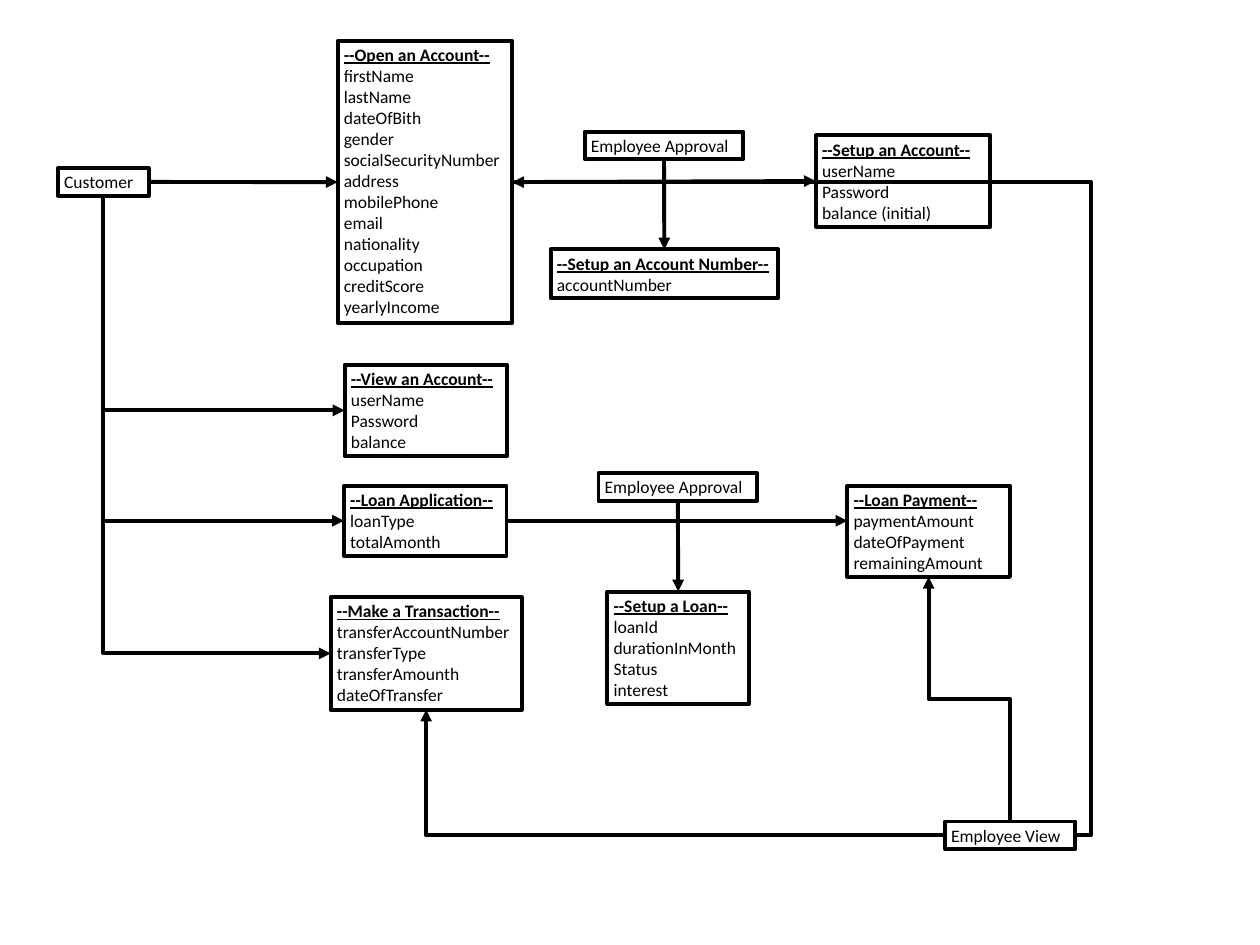
"""Draw the data flow between a bank's customers, accounts, loans and staff."""
from typing import NamedTuple

from lxml.etree import SubElement
from pptx import Presentation
from pptx.dml.color import RGBColor as Rgb
from pptx.enum.shapes import MSO_CONNECTOR as Kind
from pptx.enum.text import MSO_AUTO_SIZE as Fit
from pptx.oxml.ns import qn
from pptx.util import Inches, Pt

COLORS = {"ink": "000000"}
COLS, ROWS = 200, 150
CELL = Inches(0.1)
PAD, LINE = 1, 3.37
TOP, LEFT, BASE, RIGHT = range(4)


class Box(NamedTuple):
    key: str
    col: float
    row: float
    wide: float
    title: str
    fields: str = ""


class Link(NamedTuple):
    start: str
    exit: int
    end: str
    entry: int
    form: str = "line"
    tip: str = "tailEnd"
    shift: int = 50000


BOXES = [
    Box("client", 9.2, 26.7, 14.4, "Customer"),
    Box("open", 53.6, 6.5, 27.7, "Open an Account",
        "firstName,lastName,dateOfBith,gender,socialSecurityNumber,address,"
        "mobilePhone,email,nationality,occupation,creditScore,yearlyIncome"),
    Box("view", 54.7, 57.9, 25.8, "View an Account",
        "userName,Password,balance"),
    Box("check", 92.8, 20.9, 25.2, "Employee Approval"),
    Box("setup", 129.5, 21.5, 27.7, "Setup an Account",
        "userName,Password,balance (initial)"),
    Box("number", 87.4, 39.6, 36.1, "Setup an Account Number",
        "accountNumber"),
    Box("apply", 54.6, 77.1, 25.8, "Loan Application",
        "loanType,totalAmonth"),
    Box("review", 95, 75.1, 25.2, "Employee Approval"),
    Box("loan", 96.4, 93.9, 22.5, "Setup a Loan",
        "loanId,durationInMonth,Status,interest"),
    Box("pay", 134.5, 77.1, 25.8, "Loan Payment",
        "paymentAmount,dateOfPayment,remainingAmount"),
    Box("move", 52.5, 94.8, 30.3, "Make a Transaction",
        "transferAccountNumber,transferType,transferAmounth,dateOfTransfer"),
    Box("staff", 150, 130.4, 20.7, "Employee View"),
]

LINKS = [
    Link("client", RIGHT, "open", LEFT),
    Link("open", RIGHT, "setup", LEFT),
    Link("check", BASE, "number", TOP),
    Link("apply", RIGHT, "pay", LEFT, "level"),
    Link("review", BASE, "loan", TOP),
    *(Link(key, LEFT, "client", BASE, "corner", "headEnd")
      for key in ("view", "apply", "move")),
    Link("staff", TOP, "pay", BASE, "rise"),
    Link("staff", LEFT, "move", BASE, "corner"),
    Link("staff", RIGHT, "open", RIGHT, "loop", shift=-2800),
]


def cells(count: float) -> int:
    """Turn a count of grid cells into a length."""
    return round(count * CELL)


def ink(line) -> None:
    """Give an outline the common colour and weight."""
    line.color.rgb = Rgb.from_string(COLORS["ink"])
    line.width = Pt(4.5)


def draw_box(shapes, box: Box):
    """Draw a framed list whose height follows its number of lines."""
    names = box.fields.split(",") if box.fields else []
    title = f"--{box.title}--" if names else box.title
    high = PAD + LINE * (1 + len(names))
    frame = shapes.add_textbox(*map(cells, (box.col, box.row, box.wide, high)))
    ink(frame.line)
    text = frame.text_frame
    text.word_wrap = True
    text.auto_size = Fit.SHAPE_TO_FIT_TEXT
    text.text = "\n".join([title, *names])
    for rank, para in enumerate(text.paragraphs):
        font = para.runs[0].font
        font.name, font.size = "Calibri", Pt(20)
        font.color.rgb = Rgb.from_string(COLORS["ink"])
        font.bold = font.underline = bool(names) and rank == 0
    return frame


def turn(wire) -> None:
    """Turn a wire a quarter back so that it leaves and arrives upright."""
    mid_x = (wire.begin_x + wire.end_x) // 2
    mid_y = (wire.begin_y + wire.end_y) // 2
    off_x, off_y = wire.begin_x - mid_x, wire.begin_y - mid_y
    wire.begin_x, wire.begin_y = mid_x - off_y, mid_y + off_x
    wire.end_x, wire.end_y = mid_x + off_y, mid_y - off_x
    wire._element.spPr.find(qn("a:xfrm")).set("rot", str(270 * 60000))


def draw_link(shapes, frames: dict, link: Link) -> None:
    """Join two boxes with an arrow of the form the link asks for."""
    straight = link.form in ("line", "level")
    kind = Kind.STRAIGHT if straight else Kind.ELBOW
    wire = shapes.add_connector(kind, 0, 0, 0, 0)
    wire.begin_connect(frames[link.start], link.exit)
    if link.form == "level":
        wire.end_x, wire.end_y = frames[link.end].left, wire.begin_y
    else:
        wire.end_connect(frames[link.end], link.entry)
    ink(wire.line)
    props = wire._element.spPr
    geom = props.find(qn("a:prstGeom"))
    if link.form == "corner":
        geom.set("prst", "bentConnector2")
    elif link.form == "rise":
        turn(wire)
    elif link.form == "loop":
        SubElement(geom.find(qn("a:avLst")), qn("a:gd"),
                   name="adj1", fmla=f"val {link.shift}")
    SubElement(props.find(qn("a:ln")), qn(f"a:{link.tip}"), type="triangle")
    SubElement(props, qn("a:effectLst"))


def main() -> None:
    """Build the slide and save it."""
    deck = Presentation()
    deck.slide_width, deck.slide_height = cells(COLS), cells(ROWS)
    shapes = deck.slides.add_slide(deck.slide_layouts[6]).shapes
    frames = {box.key: draw_box(shapes, box) for box in BOXES}
    for link in LINKS:
        draw_link(shapes, frames, link)
    deck.save("out.pptx")


main()
